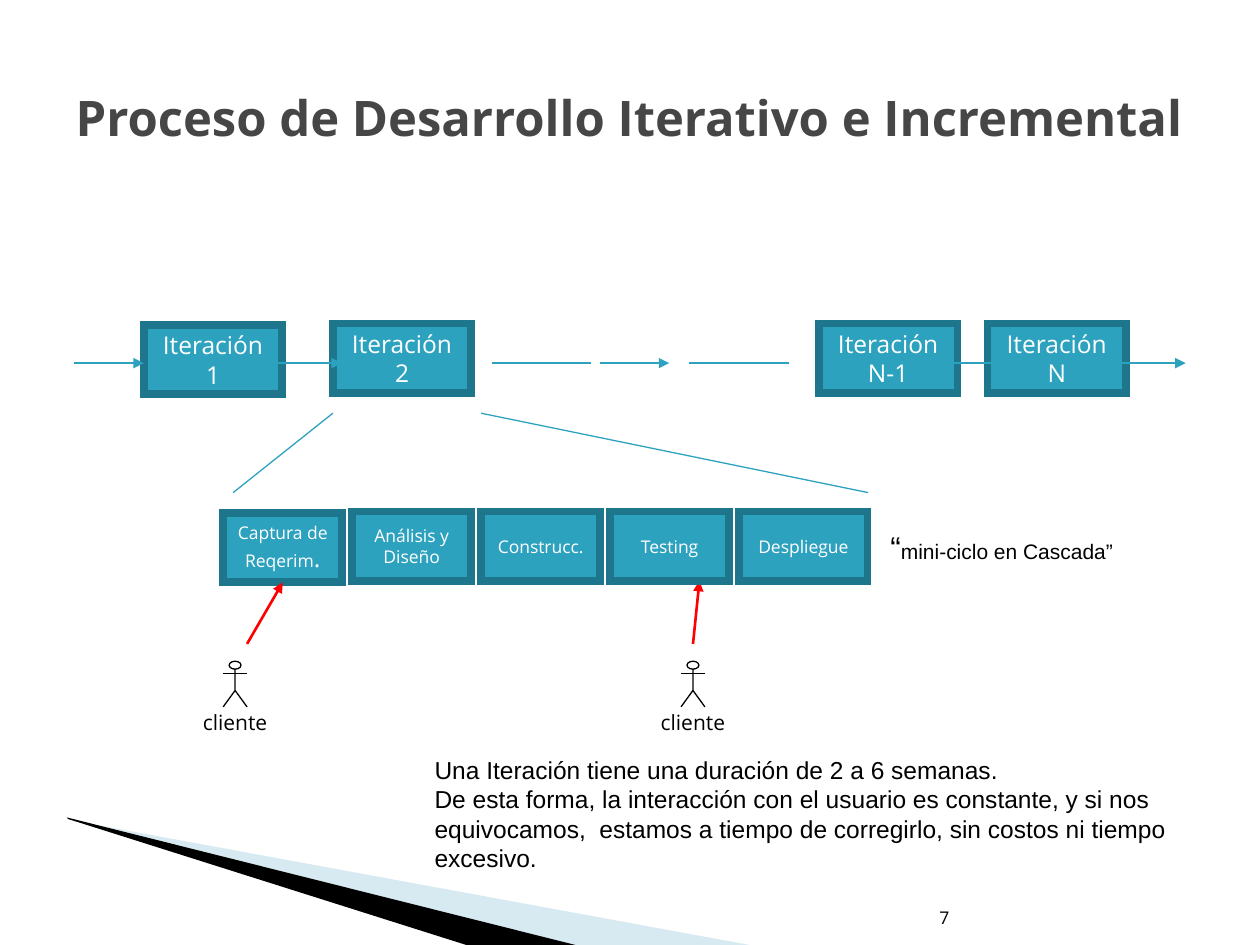
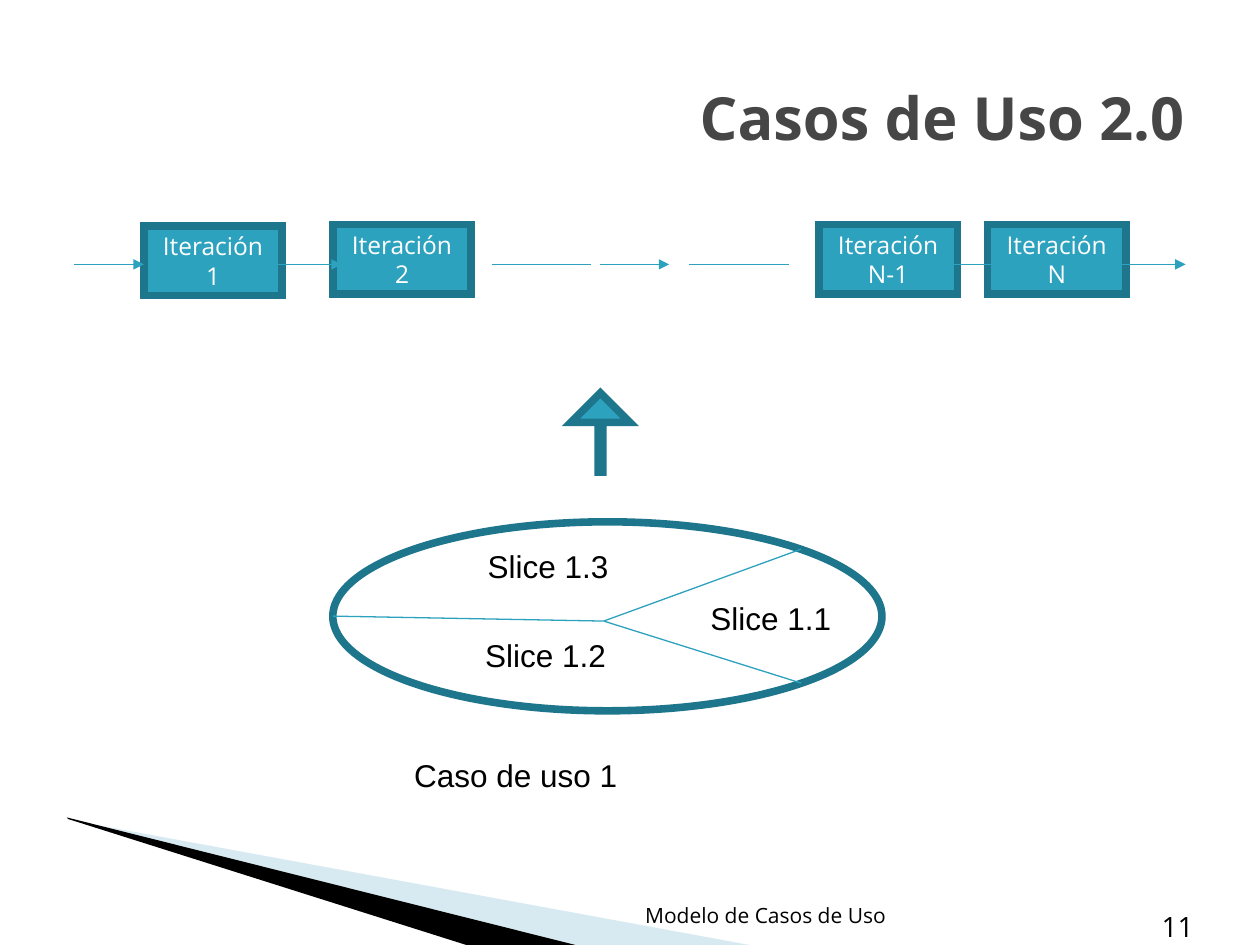
from dataclasses import dataclass
from typing import NamedTuple

from lxml import etree
from pptx import Presentation
from pptx import util as u
from pptx.dml import color as c
from pptx.enum import shapes as s
from pptx.enum import text as t
from pptx.oxml import ns


# Theme: every colour, font and type size
@dataclass(frozen=True)
class Theme:
    fill: str = "2DA2BF"
    border: str = "1E768C"
    title: str = "464646"
    black: str = "000000"
    white: str = "FFFFFF"
    red: str = "FF0000"
    swoosh: str = "9FCBDC"
    sans: str = "Open Sans"
    plain: str = "Arial"
    border_pt: float = 4.33
    thin_pt: float = 0.75
    accent_pt: float = 1.5
    tiny: int = 10
    small: int = 12
    medium: int = 14
    number: int = 16
    large: int = 18


THEME = Theme()
ALIGN = t.PP_ALIGN


# Lengths in centimetres
class Point(NamedTuple):
    x: float
    y: float


class Area(NamedTuple):
    left: float
    top: float
    width: float
    height: float

    def lengths(self) -> list[u.Cm]:
        return [u.Cm(value) for value in self]


class Step(NamedTuple):
    label: str
    left: float
    width: float
    drop: float = 0


class Label(NamedTuple):
    text: str
    area: Area


class Stroke(NamedTuple):
    color: str = THEME.fill
    width: float = THEME.thin_pt
    arrow: bool = False


ITERATIONS = [
    Step("Iteración\v1", 2.9, 2.79, 0.03),
    Step("Iteración\v2", 6.71, 2.79),
    Step("Iteración\vN-1", 16.51, 2.79),
    Step("Iteración\vN", 19.91, 2.79),
]
ARROW_STARTS = [1.5, 5.49, 12.09, 18.9, 22.5]
ARROW_LENGTH = 1.4
DASH_STARTS = [9.91, 13.89]
DASH_LENGTH = 2.01
BOX_HEIGHT = 1.4

PHASES = ["Captura de Reqerim", "Análisis y\nDiseño", "Construcc.", "Testing", "Despliegue"]
PHASE_LEFT, PHASE_TOP, PHASE_PITCH = 4.5, 10.31, 2.6
PHASE_WIDTH, LAST_PHASE_WIDTH = 2.4, 2.59

SLICES = [
    Label("Slice 1.1", Area(14.07, 11.96, 3.1, 1.02)),
    Label("Slice 1.2", Area(9.53, 12.7, 3.1, 1.02)),
    Label("Slice 1.3", Area(9.58, 10.9, 3.1, 1.02)),
]


# Formatting helpers
def rgb(code: str) -> c.RGBColor:
    return c.RGBColor.from_string(code)


def sub(parent, tag: str, **attributes: str):
    return etree.SubElement(parent, ns.qn(tag), **attributes)


def style_span(span, size: float, font: str, color: str, bold: bool = False) -> None:
    span.font.size = u.Pt(size)
    span.font.name = font
    span.font.bold = bold
    span.font.color.rgb = rgb(color)


def write(frame, content: str, size: float, font: str = THEME.sans,
          color: str = THEME.black, align=ALIGN.LEFT, bold: bool = False) -> None:
    frame.text = content
    for para in frame.paragraphs:
        para.alignment = align
        for span in para.runs:
            style_span(span, size, font, color, bold)


def append_span(frame, content: str, size: float, font: str, color: str) -> None:
    span = frame.paragraphs[-1].add_run()
    span.text = content
    style_span(span, size, font, color)


def paint(shape, fill: str | None, line: str | None, width: float = THEME.thin_pt) -> None:
    shape.shadow.inherit = False
    if fill:
        shape.fill.solid()
        shape.fill.fore_color.rgb = rgb(fill)
    else:
        shape.fill.background()
    if line:
        shape.line.color.rgb = rgb(line)
        shape.line.width = u.Pt(width)
        sub(shape.element.spPr.find(ns.qn("a:ln")), "a:miter", lim="800000")
    else:
        shape.line.fill.background()


# Drawing helpers
def add_preset(shapes, kind, area: Area, fill: str | None):
    shape = shapes.add_shape(kind, *area.lengths())
    paint(shape, fill, THEME.border, THEME.border_pt)
    return shape


def add_box(page, area: Area, content: str, size: float):
    box = add_preset(page.shapes, s.MSO_SHAPE.RECTANGLE, area, THEME.fill)
    box.text_frame.vertical_anchor = t.MSO_ANCHOR.MIDDLE
    write(box.text_frame, content, size, color=THEME.white, align=ALIGN.CENTER)
    return box


def add_text(shapes, area: Area, content: str, size: float, font: str = THEME.plain,
             align=ALIGN.LEFT, anchor=t.MSO_ANCHOR.TOP):
    frame = shapes.add_textbox(*area.lengths()).text_frame
    frame.word_wrap = True
    frame.vertical_anchor = anchor
    write(frame, content, size, font, align=align)
    return frame


def add_line(shapes, start: Point, end: Point, stroke: Stroke = Stroke()):
    ends = [u.Cm(value) for value in (*start, *end)]
    line = shapes.add_connector(s.MSO_CONNECTOR.STRAIGHT, *ends)
    line.line.color.rgb = rgb(stroke.color)
    line.line.width = u.Pt(stroke.width)
    properties = line.element.spPr
    if stroke.arrow:
        sub(properties.find(ns.qn("a:ln")), "a:tailEnd", type="triangle")
    sub(properties, "a:effectLst")
    return line


def add_outline(shapes, points: list[Point], closed: bool = True):
    corners = [(u.Cm(x), u.Cm(y)) for x, y in points]
    builder = shapes.build_freeform(*corners[0])
    builder.add_line_segments(corners[1:], close=closed)
    return builder.convert_to_shape()


# Parts the slides share
def add_page(deck, title: str, size: float, align):
    page = deck.slides.add_slide(deck.slide_layouts[5])
    pale = add_outline(page.shapes, [Point(1.4, 16.53), Point(15.11, 19.05),
                                     Point(11.58, 19.05), Point(1.4, 16.51)])
    paint(pale, THEME.swoosh, None)
    sub(pale.element.spPr.find(ns.qn("a:solidFill"))[0], "a:alpha", val="40000")
    dark = add_outline(page.shapes, [Point(1.35, 16.48), Point(11.6, 19.05),
                                     Point(9.4, 19.05), Point(1.37, 16.51)])
    paint(dark, THEME.black, None)

    heading = page.shapes.title
    heading.left, heading.top, heading.width, heading.height = Area(1.27, 0.76, 22.86, 3.18).lengths()
    frame = heading.text_frame
    frame.auto_size = t.MSO_AUTO_SIZE.NONE
    frame.vertical_anchor = t.MSO_ANCHOR.MIDDLE
    write(frame, title, size, color=THEME.title, align=align, bold=True)
    return page


def add_footer(page, area: Area, content: str, size: float, align=ALIGN.LEFT) -> None:
    add_text(page.shapes, area, content, size, THEME.sans, align, t.MSO_ANCHOR.BOTTOM)


def add_iterations(page, axis: float) -> None:
    for step in ITERATIONS:
        area = Area(step.left, axis - 0.8 + step.drop, step.width, BOX_HEIGHT)
        add_box(page, area, step.label, THEME.medium)
    for starts, length, arrow in ((ARROW_STARTS, ARROW_LENGTH, True),
                                  (DASH_STARTS, DASH_LENGTH, False)):
        for left in starts:
            add_line(page.shapes, Point(left, axis), Point(left + length, axis),
                     Stroke(arrow=arrow))


def add_client(page, center: float) -> None:
    group = page.shapes.add_group_shape().shapes
    ink = Stroke(THEME.black)
    neck, hip = Point(center, 13.49), Point(center, 13.92)
    half, feet = 0.24, 14.25
    head = group.add_shape(s.MSO_SHAPE.OVAL, *Area(center - 0.12, 13.33, 0.24, 0.16).lengths())
    paint(head, THEME.white, THEME.black)
    add_line(group, Point(center - half, 13.58), Point(center + half, 13.58), ink)
    add_line(group, hip, Point(center + half, feet), ink)
    body = add_outline(group, [neck, hip, Point(center - half, feet)], closed=False)
    paint(body, None, THEME.black)
    frame = add_text(group, Area(center - 0.65, 14.3, 1.45, 0.51), "cliente",
                     THEME.small, THEME.sans)
    frame.margin_left = frame.margin_top = frame.margin_right = frame.margin_bottom = 0


# Slide: iterative process
def build_process(deck) -> None:
    page = add_page(deck, "Proceso de Desarrollo Iterativo e Incremental", 28, ALIGN.LEFT)
    add_footer(page, Area(18.69, 17.81, 2.82, 1.02), "7", THEME.tiny)
    add_iterations(page, 7.32)

    # Second iteration opened into its phases
    add_line(page.shapes, Point(6.71, 8.33), Point(4.7, 9.93))
    add_line(page.shapes, Point(9.7, 8.33), Point(17.5, 9.93))
    feedback = Stroke(THEME.red, THEME.accent_pt, arrow=True)
    add_line(page.shapes, Point(13.97, 12.98), Point(14.1, 11.71), feedback)
    boxes = []
    for index, phase in enumerate(PHASES):
        width = LAST_PHASE_WIDTH if phase == PHASES[-1] else PHASE_WIDTH
        top = PHASE_TOP + (0.03 if index == 0 else 0)
        area = Area(PHASE_LEFT + index * PHASE_PITCH, top, width, BOX_HEIGHT)
        boxes.append(add_box(page, area, phase, THEME.tiny))
    append_span(boxes[0].text_frame, ".", THEME.medium, THEME.sans, THEME.white)
    request = add_line(page.shapes, Point(4.98, 12.98), Point(5.7, 11.74), feedback)
    request.end_connect(boxes[0], 2)
    for center in (4.74, 13.97):
        add_client(page, center)

    # Remarks
    frame = add_text(page.shapes, Area(17.7, 10.52, 5.2, 1.02), "“", THEME.large)
    append_span(frame, "mini-ciclo en Cascada”", THEME.small, THEME.plain, THEME.black)
    add_text(page.shapes, Area(8.51, 15.09, 15.47, 2.64),
             "Una Iteración tiene una duración de 2 a 6 semanas.\n"
             "De esta forma, la interacción con el usuario es constante, y si nos\n"
             "equivocamos,  estamos a tiempo de corregirlo, sin costos ni tiempo\n"
             "excesivo.", THEME.medium)


# Slide: use case slices
def build_use_cases(deck) -> None:
    page = add_page(deck, "Casos de Uso 2.0", 34, ALIGN.RIGHT)
    add_footer(page, Area(17.78, 18.11, 6.53, 1.02), "11", THEME.number, ALIGN.RIGHT)
    add_footer(page, Area(12.17, 17.81, 6.53, 1.02), "Modelo de Casos de Uso",
               THEME.small, ALIGN.CENTER)
    add_iterations(page, 5.33)

    # Use case divided from one hub
    add_preset(page.shapes, s.MSO_SHAPE.OVAL, Area(6.71, 10.52, 11.07, 3.81), None)
    hub = Point(12.17, 12.52)
    for rim in (Point(16.15, 11.07), Point(16.15, 13.77), Point(6.71, 12.42)):
        add_line(page.shapes, hub, rim)
    for label in [*SLICES, Label("Caso de uso 1", Area(8.1, 15.11, 4.65, 1.02))]:
        add_text(page.shapes, label.area, label.text, THEME.large)

    # Arrow towards the iterations
    arrow = add_preset(page.shapes, s.MSO_SHAPE.UP_ARROW, Area(11.51, 7.92, 1.19, 1.6), THEME.fill)
    arrow.adjustments[0] = 0.08
    arrow.adjustments[1] = 0.5


def main() -> None:
    deck = Presentation()
    deck.slide_width, deck.slide_height = u.Cm(25.4), u.Cm(19.05)
    build_process(deck)
    build_use_cases(deck)
    deck.save("out.pptx")


if __name__ == "__main__":
    main()
